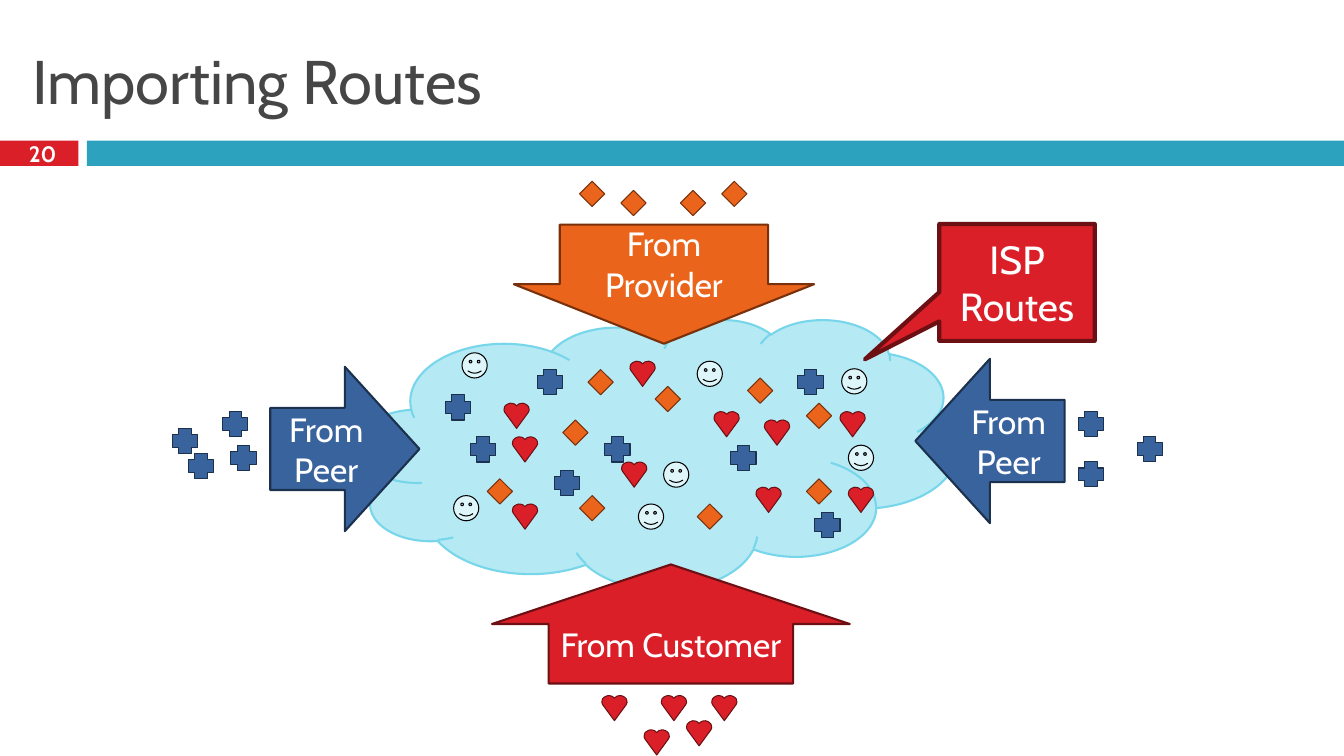
from pptx import Presentation
from pptx.dml.color import RGBColor
from pptx.enum import shapes, text
from pptx.util import Pt

FONT = "Cabin"
COLORS = {
    "title": "464646", "white": "FFFFFF", "teal": "2DA2BF",
    "cloud": "B5E9F4", "cloud_edge": "78D6EA",
    "provider": "EB641B", "provider_edge": "78310B",
    "peer": "39639D", "peer_edge": "1C314E",
    "customer": "DA1F28", "customer_edge": "6D1014",
    "isp": "DEF5FA", "isp_edge": "000000",
}
KIND = shapes.MSO_SHAPE
ROUTE_SHAPES = {"provider": KIND.DIAMOND, "peer": KIND.CROSS, "isp": KIND.SMILEY_FACE}
ROUTE_SIZE = 18
GRID = 6
HALF_HEART = [(50, 11), (46, 7), (41, 3), (33, 1), (25, 0), (16, 3),
              (9, 7), (3, 13), (1, 20), (0, 28), (3, 36)]
HEART = HALF_HEART + [(50, 100)] + [(100 - x, y) for x, y in HALF_HEART[:0:-1]]

CLOUD_ROUTES = {
    "provider": [(43, 6), (16, 17), (43, 15), (17, 2), (36, 3), (30, 18),
                 (25, 4), (5, 15), (14, 8)],
    "peer": [(0, 5), (19, 10), (44, 19), (42, 2), (3, 10), (13, 14), (34, 11), (11, 2)],
    "isp": [(23, 18), (30, 1), (1, 17), (2, 0), (48, 11), (26, 13), (47.2, 1.9)],
    "customer": [(48, 16), (37, 16), (8, 18), (8, 10), (7, 6), (21, 13),
                 (32, 7), (22, 1), (47, 7), (38, 8)],
}
SOURCES = [
    ("From Provider", "provider", KIND.DOWN_ARROW, 0.694, (367, 160.5, 214.5, 85),
     [(47, -31), (76.5, -24.5), (119, -24.5), (148.5, -31)]),
    ("From Peer", "peer", KIND.LEFT_ARROW, 0.5, (653.8, 256.3, 106.6, 117.4),
     [(116.6, 37.5), (116.6, 73.5), (158.4, 55.5)]),
    ("From Peer", "peer", KIND.RIGHT_ARROW, 0.5, (193, 262, 106.6, 117.4),
     [(-58.4, 62), (-28.1, 56.2), (-69.9, 44), (-33.9, 31.8)]),
    ("From Customer", "customer", KIND.UP_ARROW, 0.683, (351.4, 403.2, 255.6, 85),
     [(108.7, 118.1), (139, 111.6), (78.5, 93.6), (157, 93.6), (121, 93.6)]),
]


def rgb(name):
    return RGBColor.from_string(COLORS[name])


def paint(shape, fill, edge=None, width=0.75):
    shape.shadow.inherit = False
    shape.fill.solid()
    shape.fill.fore_color.rgb = rgb(fill)
    if edge:
        shape.line.color.rgb = rgb(edge)
        shape.line.width = Pt(width)
    else:
        shape.line.fill.background()
    return shape


def add_preset(slide, kind, box, fill, edge=None, width=0.75):
    shape = slide.shapes.add_shape(kind, *map(Pt, box))
    return paint(shape, fill, edge, width)


def write(shape, words, size, color="white", bold=False, align=text.PP_ALIGN.CENTER):
    frame = shape.text_frame
    frame.word_wrap = True
    frame.auto_size = text.MSO_AUTO_SIZE.NONE
    frame.vertical_anchor = text.MSO_ANCHOR.MIDDLE
    paragraph = frame.paragraphs[0]
    paragraph.alignment = align
    run = paragraph.add_run()
    run.text = words
    run.font.name = FONT
    run.font.size = Pt(size)
    run.font.bold = bold
    run.font.color.rgb = rgb(color)


def add_route(slide, owner, left, top):
    edge = owner + "_edge"
    if owner in ROUTE_SHAPES:
        box = (left, top, ROUTE_SIZE, ROUTE_SIZE)
        add_preset(slide, ROUTE_SHAPES[owner], box, owner, edge)
        return
    outline = slide.shapes.build_freeform(*HEART[0], scale=Pt(ROUTE_SIZE) / 100)
    outline.add_line_segments(HEART[1:], close=True)
    paint(outline.convert_to_shape(Pt(left), Pt(top)), owner, edge)


def add_header(slide, box):
    left, top, width, height = box
    title = slide.shapes.title
    title.left, title.top = Pt(left + 16), Pt(top + 18)
    title.width, title.height = Pt(width - 32), Pt(78)
    write(title, "Importing Routes", 44, "title", align=text.PP_ALIGN.LEFT)

    bar_height = 18
    bar_top = top + height - bar_height
    number_width, bar_left = 56, 62
    page_number = add_preset(slide, KIND.RECTANGLE,
                             (left, bar_top, number_width, bar_height), "customer")
    page_number.text_frame.margin_top = page_number.text_frame.margin_bottom = 0
    page_number.text_frame.margin_left = Pt(12)
    write(page_number, "20", 16, bold=True)
    add_preset(slide, KIND.RECTANGLE,
               (left + bar_left, bar_top, width - bar_left, bar_height), "teal")


def add_isp_cloud(slide, box):
    left, top = box[:2]
    add_preset(slide, KIND.CLOUD, box, "cloud", "cloud_edge", 1.5)
    for owner, cells in CLOUD_ROUTES.items():
        for column, row in cells:
            add_route(slide, owner, left + 63 + column * GRID, top + 24 + row * GRID)


def add_source(slide, box, words, owner, kind, shaft, routes):
    left, top = box[:2]
    for x, y in routes:
        add_route(slide, owner, left + x, top + y)
    arrow = add_preset(slide, kind, box, owner, owner + "_edge", 1.5)
    arrow.adjustments[0] = shaft
    arrow.adjustments[1] = 0.5
    write(arrow, words, 24)


def add_isp_callout(slide, box):
    callout = add_preset(slide, KIND.RECTANGULAR_CALLOUT, box,
                         "customer", "customer_edge", 3)
    callout.adjustments[0] = -0.979
    callout.adjustments[1] = 0.658
    write(callout, "ISP Routes", 28)


def main():
    deck = Presentation()
    deck.slide_width, deck.slide_height = Pt(960), Pt(540)
    slide = deck.slides.add_slide(deck.slide_layouts.get_by_name("Title Only"))
    add_header(slide, (0, 0, 960, 118.5))
    add_isp_cloud(slide, (255, 228, 428.4, 193))
    for words, owner, kind, shaft, box, routes in SOURCES:
        add_source(slide, box, words, owner, kind, shaft, routes)
    add_isp_callout(slide, (671, 160, 111, 83.5))
    deck.save("out.pptx")


if __name__ == "__main__":
    main()
